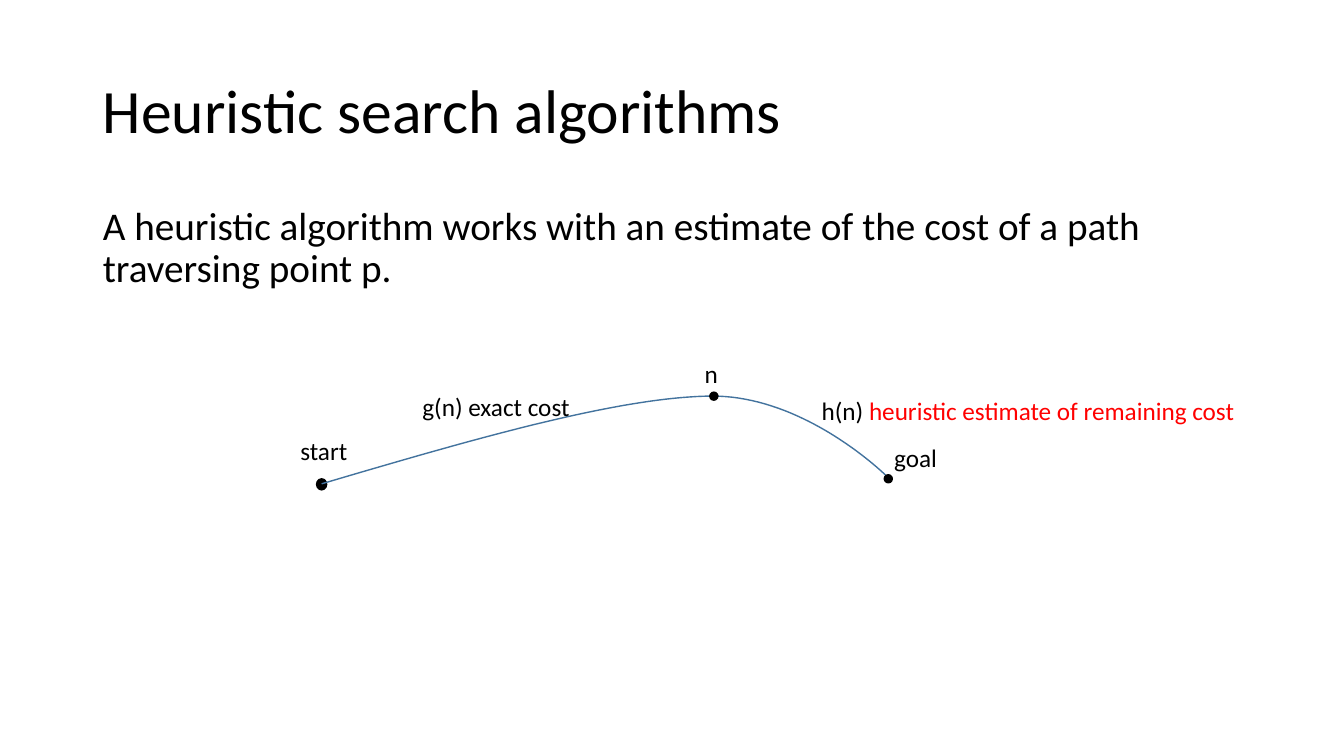
from dataclasses import dataclass

from lxml.etree import SubElement
from pptx import Presentation
from pptx.dml.color import RGBColor
from pptx.enum.shapes import MSO_SHAPE
from pptx.enum.text import MSO_ANCHOR, MSO_AUTO_SIZE, PP_ALIGN
from pptx.oxml.ns import qn
from pptx.util import Inches, Pt


@dataclass(frozen=True)
class Theme:
    font: str = "Calibri"
    title_size: int = 44
    body_size: int = 28
    label_size: int = 18
    line_width: int = 1
    ink: RGBColor = RGBColor(0x00, 0x00, 0x00)
    accent: RGBColor = RGBColor(0xFF, 0x00, 0x00)
    curve: RGBColor = RGBColor(0x43, 0x73, 0x9E)


THEME = Theme()

# Two cubic segments: from start to n, then from n to goal
PATH_SEGMENTS = [
    [(3.19, 4.8), (4.65, 4.37), (6.12, 3.94), (7.05, 3.93)],
    [(7.05, 3.93), (7.99, 3.92), (8.8, 4.73), (8.8, 4.73)],
]
STEPS_PER_SEGMENT = 40


def format_run(run, size, color):
    run.font.name = THEME.font
    run.font.size = Pt(size)
    run.font.color.rgb = color


def fill_placeholder(placeholder, box, text, size, anchor):
    placeholder.left, placeholder.top, placeholder.width, placeholder.height = map(Inches, box)
    text_frame = placeholder.text_frame
    text_frame.text = text
    text_frame.word_wrap = True
    text_frame.auto_size = MSO_AUTO_SIZE.NONE
    text_frame.vertical_anchor = anchor
    paragraph = text_frame.paragraphs[0]
    paragraph.alignment = PP_ALIGN.LEFT
    paragraph.line_spacing = 0.9
    paragraph.space_before = Pt(0)
    format_run(paragraph.runs[0], size, THEME.ink)
    return paragraph


def remove_bullet(paragraph):
    properties = paragraph._p.get_or_add_pPr()
    properties.set("marL", "0")
    properties.set("indent", "0")
    SubElement(properties, qn("a:buNone"))


def add_label(slide, left, top, width, *parts):
    text_box = slide.shapes.add_textbox(Inches(left), Inches(top), Inches(width), Inches(0.4))
    text_frame = text_box.text_frame
    text_frame.word_wrap = True
    text_frame.auto_size = MSO_AUTO_SIZE.SHAPE_TO_FIT_TEXT
    for text, color in parts:
        run = text_frame.paragraphs[0].add_run()
        run.text = text
        format_run(run, THEME.label_size, color)


def add_node(slide, left, top, width, height):
    node = slide.shapes.add_shape(
        MSO_SHAPE.FLOWCHART_CONNECTOR, Inches(left), Inches(top), Inches(width), Inches(height))
    node.shadow.inherit = False
    node.fill.solid()
    node.fill.fore_color.rgb = THEME.ink
    node.line.color.rgb = THEME.ink
    node.line.width = Pt(THEME.line_width)


def cubic_point(controls, t):
    weights = ((1 - t) ** 3, 3 * t * (1 - t) ** 2, 3 * t ** 2 * (1 - t), t ** 3)
    return tuple(Inches(sum(weight * value for weight, value in zip(weights, axis)))
                 for axis in zip(*controls))


def add_curve(slide, segments):
    points = [cubic_point(controls, step / STEPS_PER_SEGMENT)
              for controls in segments for step in range(1, STEPS_PER_SEGMENT + 1)]
    builder = slide.shapes.build_freeform(*cubic_point(segments[0], 0))
    builder.add_line_segments(points, close=False)
    curve = builder.convert_to_shape()
    curve.shadow.inherit = False
    curve.fill.background()
    curve.line.color.rgb = THEME.curve
    curve.line.width = Pt(THEME.line_width)


def main():
    presentation = Presentation()
    presentation.slide_width = Inches(13.33)
    presentation.slide_height = Inches(7.5)
    slide = presentation.slides.add_slide(presentation.slide_layouts[1])

    # Title and statement
    fill_placeholder(slide.shapes.title, (0.92, 0.4, 11.5, 1.45),
                     "Heuristic search algorithms", THEME.title_size, MSO_ANCHOR.MIDDLE)
    statement = fill_placeholder(
        slide.placeholders[1], (0.92, 2, 11.5, 4.76),
        "A heuristic algorithm works with an estimate of the cost of a path traversing point p.",
        THEME.body_size, MSO_ANCHOR.TOP)
    remove_bullet(statement)

    # Path from start through n to goal
    add_node(slide, 3.14, 4.75, 0.1, 0.11)
    add_curve(slide, PATH_SEGMENTS)
    for left, top in ((7.04, 3.89), (8.77, 4.71)):
        add_node(slide, left, top, 0.08, 0.08)

    # Node names and cost labels
    add_label(slide, 2.88, 4.27, 1.57, ("start", THEME.ink))
    add_label(slide, 6.89, 3.51, 1.13, ("n", THEME.ink))
    add_label(slide, 8.77, 4.34, 1.57, ("goal", THEME.ink))
    add_label(slide, 4.09, 3.83, 1.81, ("g(n) exact cost", THEME.ink))
    add_label(slide, 8.05, 3.87, 5.18, ("h(n)", THEME.ink),
              (" heuristic estimate of remaining cost", THEME.accent))

    presentation.save("out.pptx")


if __name__ == "__main__":
    main()
